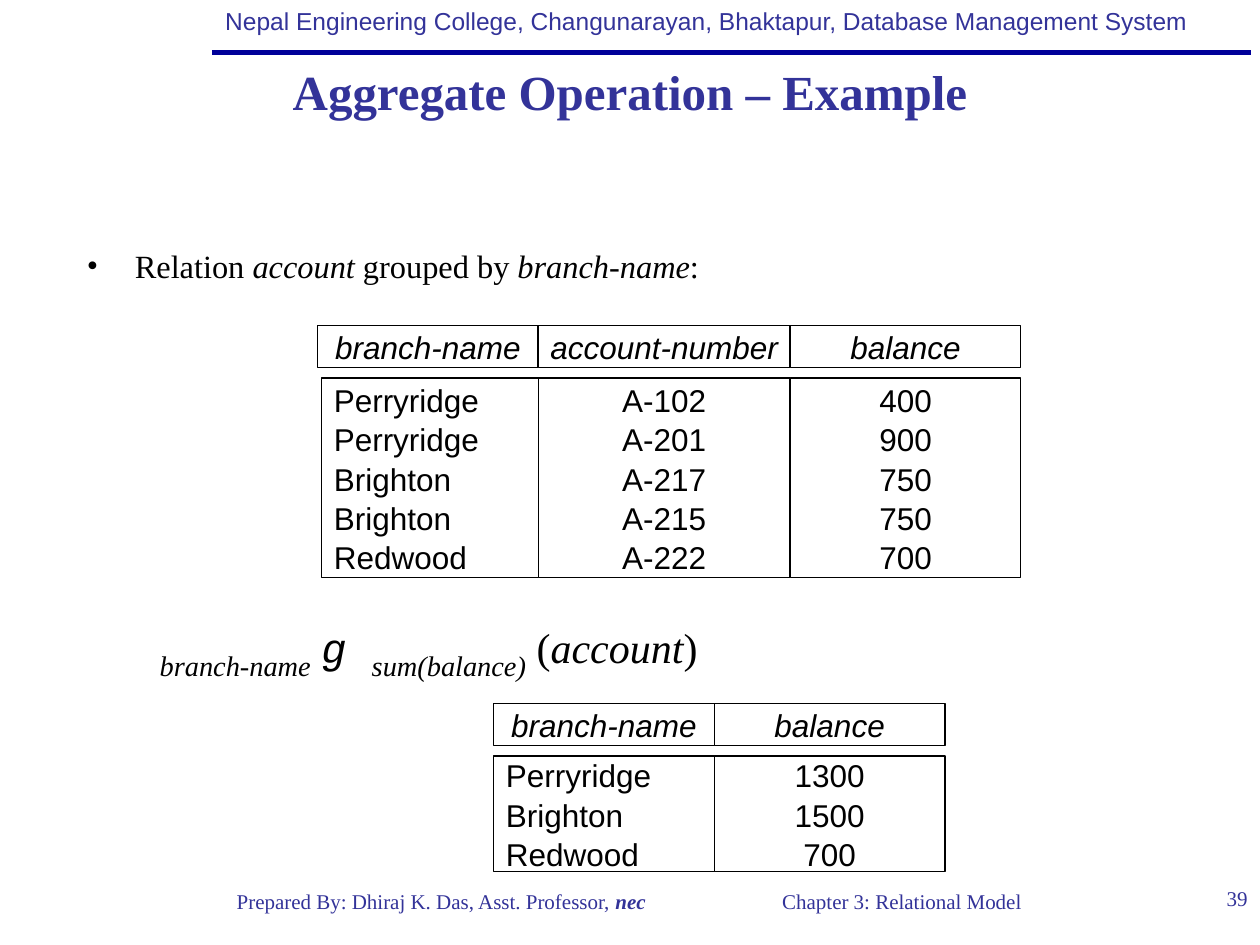
from dataclasses import dataclass, field

from lxml.etree import SubElement as Sub
from pptx import Presentation
from pptx.dml.color import RGBColor
from pptx.enum.shapes import MSO_CONNECTOR as Link, MSO_SHAPE as Shape
from pptx.enum.text import MSO_ANCHOR as Anchor, PP_ALIGN as Align
from pptx.oxml.ns import qn
from pptx.slide import Slide
from pptx.text.text import TextFrame, _Paragraph as Para
from pptx.util import Cm, Pt

BLUE = RGBColor(0x33, 0x33, 0x99)
NAVY = RGBColor(0x00, 0x00, 0x99)
BLACK = RGBColor(0, 0, 0)
WHITE = RGBColor(255, 255, 255)
SERIF, SANS, MONO = "Times New Roman", "Arial", "Courier New"
HEAD_H, BODY_DROP = 0.85, 1.06


@dataclass
class Run:
    text: str
    size: float = 12
    color: RGBColor = BLUE
    font: str = SERIF
    bold: bool = False
    ital: bool = False
    base: int = 0


@dataclass
class Label:
    box: tuple[float, float, float, float]
    runs: list[Run]
    align: Align = Align.LEFT
    wrap: bool = True
    bullet: bool = False


@dataclass
class Column:
    name: str
    width: float
    rows: list[str]
    align: Align = Align.CENTER


@dataclass
class Grid:
    left: float
    top: float
    height: float
    cols: list[Column] = field(default_factory=list)
    shift: float = 0


def add_runs(para: Para, runs: list[Run]) -> None:
    for item in runs:
        run = para.add_run()
        run.text = item.text
        font = run.font
        font.size, font.name = Pt(item.size), item.font
        font.bold, font.italic = item.bold, item.ital
        font.color.rgb = item.color
        if item.base:
            font._element.set("baseline", str(item.base * 1000))


def add_dot(para: Para) -> None:
    props = para._p.get_or_add_pPr()
    props.set("marL", str(Cm(0.97)))
    props.set("indent", str(Cm(-0.97)))
    Sub(props, qn("a:buFont")).set("typeface", SERIF)
    Sub(props, qn("a:buChar")).set("char", "•")


def add_label(slide: Slide, item: Label) -> None:
    frame = slide.shapes.add_textbox(*map(Cm, item.box)).text_frame
    frame.word_wrap = item.wrap
    para = frame.paragraphs[0]
    if item.bullet:
        add_dot(para)
    para.alignment = item.align
    add_runs(para, item.runs)


def add_cell(slide: Slide, box: tuple[float, ...], wrap: bool) -> TextFrame:
    cell = slide.shapes.add_shape(Shape.RECTANGLE, *map(Cm, box))
    cell.shadow.inherit = False
    cell.fill.solid()
    cell.fill.fore_color.rgb = WHITE
    cell.line.color.rgb = BLACK
    cell.line.width = Pt(0.75)
    frame = cell.text_frame
    frame.word_wrap = wrap
    frame.vertical_anchor = Anchor.MIDDLE
    return frame


def add_lines(frame: TextFrame, lines: list[str], align: Align, ital: bool) -> None:
    for i, line in enumerate(lines):
        para = frame.add_paragraph() if i else frame.paragraphs[0]
        para.alignment = align
        para.line_spacing = 1.04
        add_runs(para, [Run(line, 18, BLACK, SANS, ital=ital)])


def add_grid(slide: Slide, grid: Grid) -> None:
    left = grid.left
    for col in grid.cols:
        frame = add_cell(slide, (left, grid.top, col.width, HEAD_H), False)
        add_lines(frame, [col.name], Align.CENTER, True)
        left += col.width
    left, shift = grid.left, grid.shift
    for col in grid.cols:
        box = (left + shift, grid.top + BODY_DROP, col.width, grid.height)
        add_lines(add_cell(slide, box, True), col.rows, col.align, False)
        left += col.width
        shift = 0


def add_rule(slide: Slide) -> None:
    rule = slide.shapes.add_connector(
        Link.STRAIGHT, Cm(4.27), Cm(1.06), Cm(25.22), Cm(1.06))
    rule.line.color.rgb = NAVY
    rule.line.width = Pt(3)
    Sub(rule._element.spPr, qn("a:effectLst"))


def add_title(slide: Slide, text: str) -> None:
    title = slide.shapes.title
    title.left, title.top, title.width, title.height = map(Cm, (0, 1.09, 25.4, 1.47))
    frame = title.text_frame
    frame.vertical_anchor = Anchor.MIDDLE
    para = frame.paragraphs[0]
    para.alignment = Align.CENTER
    add_runs(para, [Run(text, 28, bold=True)])


def body(text: str, ital: bool = False) -> Run:
    return Run(text, 18.5, BLACK, ital=ital)


def math(text: str, ital: bool = False, font: str = SERIF) -> Run:
    return Run(text, 24, BLACK, font, ital=ital)


def sub(text: str) -> Run:
    return Run(text, 28, BLACK, ital=True, base=-25)


LABELS = [
    Label((4.29, 0, 19.94, 0.86), [Run(
        "Nepal Engineering College, Changunarayan, Bhaktapur, "
        "Database Management System", 14, font=SANS)], wrap=False),
    Label((3.61, 17.78, 10.57, 1.27), [
        Run("Prepared By: Dhiraj K. Das, Asst. Professor, "),
        Run("nec", bold=True, ital=True)], Align.CENTER, False),
    Label((12.9, 17.78, 10.57, 1.27),
          [Run("Chapter 3: Relational Model")], Align.CENTER, False),
    Label((23.93, 17.73, 1.47, 1.27), [Run("39")], Align.RIGHT),
    Label((1.5, 4.83, 22.17, 1.07), [
        body("Relation "), body("account", True), body(" grouped by "),
        body("branch-name", True), body(":")], bullet=True),
    Label((2.97, 12.27, 19.53, 1.14), [
        sub("branch-name"), math(" "), math("g ", True, MONO),
        sub("sum(balance)"), math(" ("), math("account", True), math(")")]),
]

GRIDS = [
    Grid(6.4, 6.56, 4.02, [
        Column("branch-name", 4.45, ["Perryridge", "Perryridge", "Brighton",
                                     "Brighton", "Redwood"], Align.LEFT),
        Column("account-number", 5.08,
               ["A-102", "A-201", "A-217", "A-215", "A-222"]),
        Column("balance", 4.65, ["400", "900", "750", "750", "700"]),
    ], 0.08),
    Grid(9.95, 14.18, 2.33, [
        Column("branch-name", 4.45,
               ["Perryridge", "Brighton", "Redwood"], Align.LEFT),
        Column("balance", 4.65, ["1300", "1500", "700"]),
    ]),
]


def main() -> None:
    deck = Presentation()
    deck.slide_width, deck.slide_height = Cm(25.4), Cm(19.05)
    slide = deck.slides.add_slide(deck.slide_layouts[5])
    add_rule(slide)
    add_title(slide, "Aggregate Operation – Example")
    for item in LABELS:
        add_label(slide, item)
    for grid in GRIDS:
        add_grid(slide, grid)
    deck.save("out.pptx")


if __name__ == "__main__":
    main()
